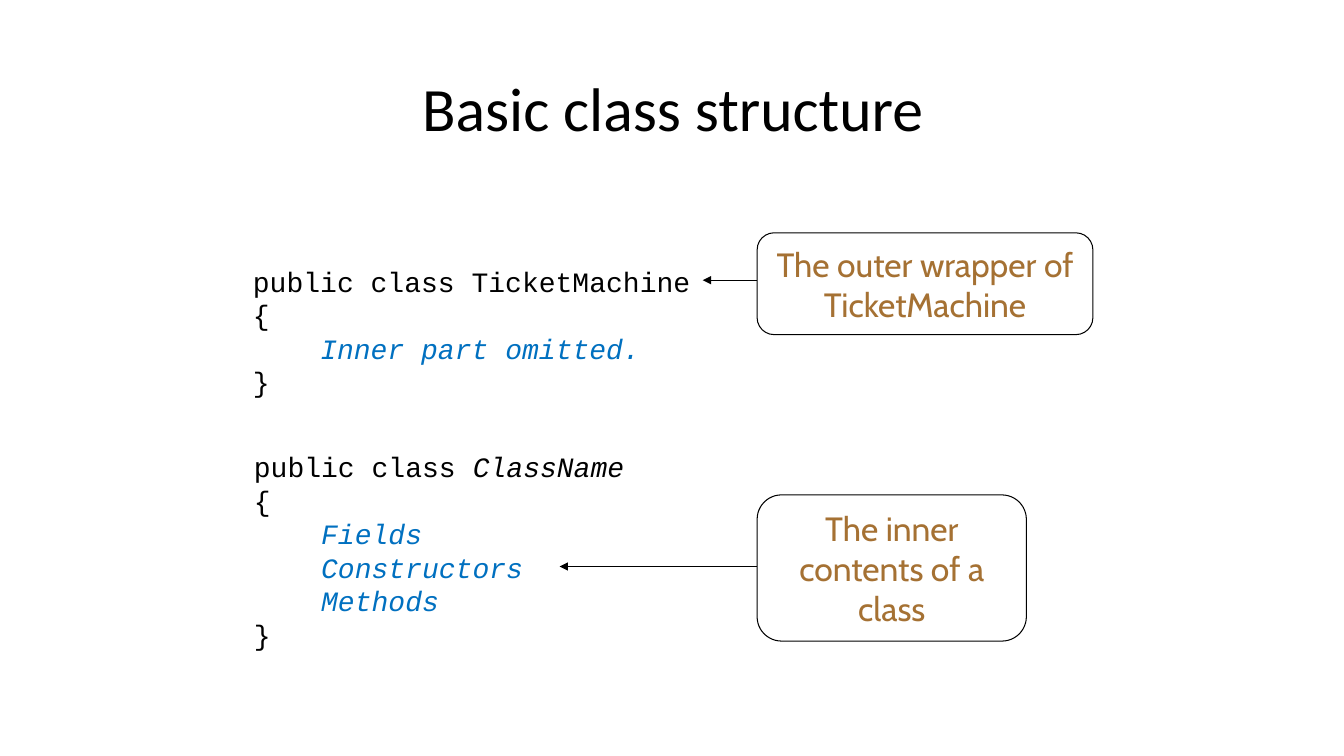
from lxml.etree import SubElement
from pptx import Presentation
from pptx.dml.color import RGBColor
from pptx.enum.shapes import MSO_CONNECTOR, MSO_SHAPE
from pptx.enum.text import MSO_ANCHOR, PP_ALIGN
from pptx.oxml.ns import qn
from pptx.util import Inches, Pt

COLORS = {"text": "000000", "inner": "0070C0", "callout": "A57133"}
WIDTH, HEIGHT = 13.33, 7.5
CALLOUT_LEFT = 7.51

# Each code line is a list of (text, color name, italic) runs.
TICKET_MACHINE_CODE = [
    [("public class TicketMachine", "text", False)],
    [("{", "text", False)],
    [("    ", "text", False), ("Inner part omitted.", "inner", True)],
    [("}", "text", False)],
]
CLASS_NAME_CODE = [
    [("public class ", "text", False), ("ClassName", "text", True)],
    [("{", "text", False)],
    [("    Fields", "inner", True)],
    [("    Constructors", "inner", True)],
    [("    Methods", "inner", True)],
    [("}", "text", False)],
]


def color(name):
    return RGBColor.from_string(COLORS[name])


def add_run(paragraph, text, font_name, size, color_name, italic=False):
    run = paragraph.add_run()
    run.text = text
    run.font.name = font_name
    run.font.size = Pt(size)
    run.font.italic = italic
    run.font.color.rgb = color(color_name)


def add_text_box(slide, box, wrap):
    shape = slide.shapes.add_textbox(*map(Inches, box))
    shape.text_frame.word_wrap = wrap
    return shape.text_frame


def add_title(slide, box, text):
    frame = add_text_box(slide, box, True)
    frame.vertical_anchor = MSO_ANCHOR.MIDDLE
    paragraph = frame.paragraphs[0]
    paragraph.alignment = PP_ALIGN.CENTER
    add_run(paragraph, text, "Calibri", 44, "text")


def add_code(slide, box, lines):
    frame = add_text_box(slide, box, False)
    for index, line in enumerate(lines):
        paragraph = frame.add_paragraph() if index else frame.paragraphs[0]
        for text, color_name, italic in line:
            add_run(paragraph, text, "Courier New", 20, color_name, italic)


def add_callout(slide, box, text, tip_left, arrow_top):
    """Add a rounded box with an arrow from its left edge to the code."""
    left = box[0]
    arrow = slide.shapes.add_connector(
        MSO_CONNECTOR.STRAIGHT,
        *map(Inches, (left, arrow_top, tip_left, arrow_top)))
    arrow.line.color.rgb = color("text")
    arrow.line.width = Pt(0.75)
    SubElement(arrow.line._get_or_add_ln(), qn("a:tailEnd"), type="triangle")
    SubElement(arrow._element.spPr, qn("a:effectLst"))

    shape = slide.shapes.add_shape(MSO_SHAPE.ROUNDED_RECTANGLE, *map(Inches, box))
    shape.shadow.inherit = False
    shape.fill.background()
    shape.line.color.rgb = color("text")
    shape.line.width = Pt(0.75)
    frame = shape.text_frame
    frame.word_wrap = True
    frame.vertical_anchor = MSO_ANCHOR.MIDDLE
    paragraph = frame.paragraphs[0]
    paragraph.alignment = PP_ALIGN.CENTER
    add_run(paragraph, text, "Cabin", 24, "callout")


def main():
    presentation = Presentation()
    presentation.slide_width = Inches(WIDTH)
    presentation.slide_height = Inches(HEIGHT)
    slide = presentation.slides.add_slide(presentation.slide_layouts[6])

    add_title(slide, (0.8, 0.43, 11.75, 1.25), "Basic class structure")
    add_code(slide, (2.41, 2.57, 4.58, 1.45), TICKET_MACHINE_CODE)
    add_code(slide, (2.42, 4.41, 3.9, 2.12), CLASS_NAME_CODE)
    add_callout(slide, (CALLOUT_LEFT, 2.31, 3.33, 1.01),
                "The outer wrapper of TicketMachine", 6.97, 2.78)
    add_callout(slide, (CALLOUT_LEFT, 4.91, 2.67, 1.45),
                "The inner contents of a class", 5.55, 5.62)
    presentation.save("out.pptx")


if __name__ == "__main__":
    main()
